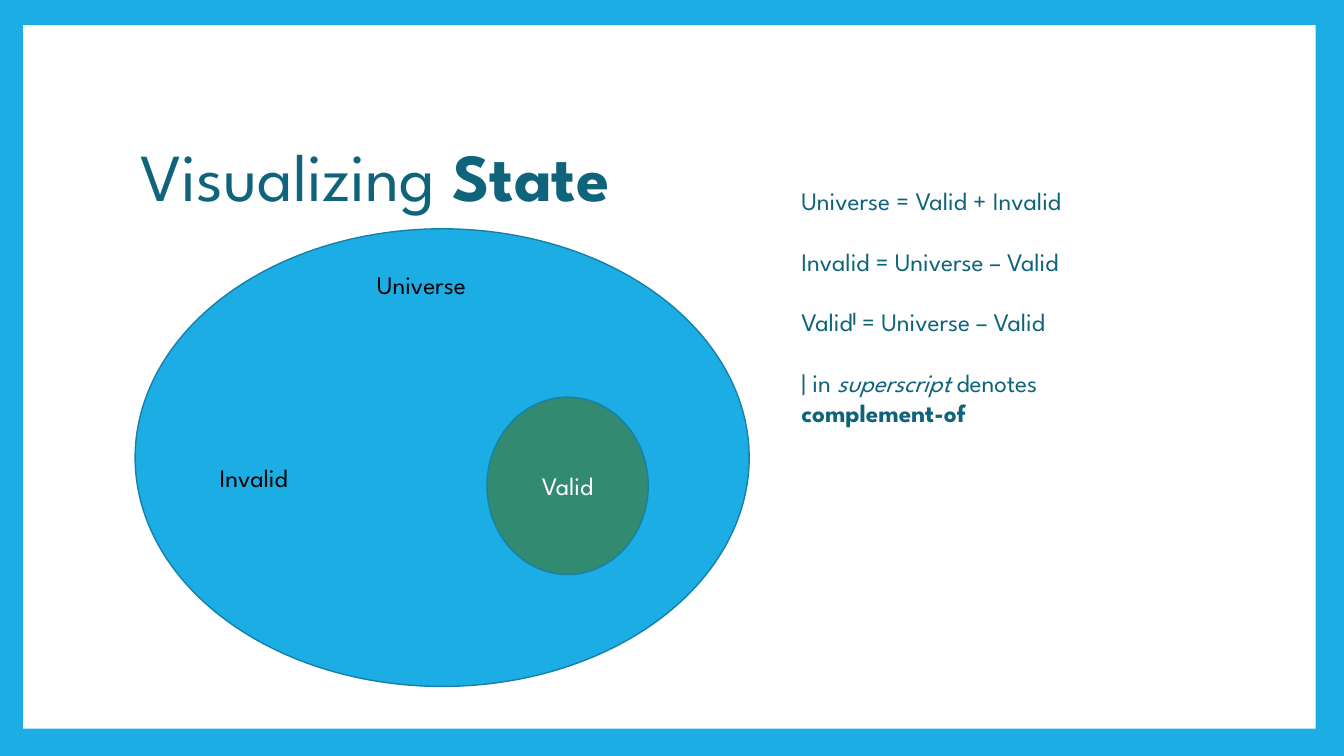
from pptx import Presentation
from pptx.dml.color import RGBColor
from pptx.enum import shapes, text
from pptx.util import Inches, Pt

FONT = "League Spartan"
BLUE = RGBColor(0x1C, 0xAD, 0xE4)
OUTLINE = RGBColor(0x15, 0x80, 0xA9)
TEAL = RGBColor(0x0F, 0x64, 0x7B)
GREEN = RGBColor(0x32, 0x8B, 0x71)
WHITE = RGBColor(0xFF, 0xFF, 0xFF)
BLACK = RGBColor(0, 0, 0)
RECT, OVAL = shapes.MSO_SHAPE.RECTANGLE, shapes.MSO_SHAPE.OVAL
TOP, MIDDLE = text.MSO_ANCHOR.TOP, text.MSO_ANCHOR.MIDDLE

TITLE = [[("Visualizing ", ""), ("State", "bold")]]
EQUATIONS = [
    [("Universe = Valid + Invalid", "")],
    [("Invalid = Universe – Valid", "")],
    [("Valid", ""), ("|", "bold super"), (" = Universe – Valid", "")],
    [("| in ", ""), ("superscript", "italic"), (" denotes ", ""),
     ("complement-of", "bold")],
]
SHAPES = [
    (RECT, (0, 0, 13.33, 7.5), BLUE, None),
    (RECT, (0.23, 0.25, 12.82, 6.98), WHITE, None),
    (OVAL, (1.34, 2.27, 6.09, 4.54), BLUE, None),
    (OVAL, (4.83, 3.94, 1.6, 1.76), GREEN, "Valid"),
]
TEXTS = [
    ((1.29, 0.95, 10.71, 1.67), TITLE, 48, TEAL, MIDDLE),
    ((3.64, 2.62, 1.22, 0.4), [[("Universe", "")]], 18, BLACK, TOP),
    ((2.08, 4.54, 1, 0.4), [[("Invalid", "")]], 18, BLACK, TOP),
    ((7.85, 1.79, 3.84, 2.83), EQUATIONS, 18, TEAL, TOP),
]


def write(sp, paragraphs, size, color, anchor, align=text.PP_ALIGN.LEFT):
    tf = sp.text_frame
    tf.word_wrap = True
    tf.vertical_anchor = anchor
    for i, runs in enumerate(paragraphs):
        p = tf.add_paragraph() if i else tf.paragraphs[0]
        p.alignment = align
        if i:
            p.space_before = Pt(21.6)
        if size > 18:
            p.line_spacing = 0.9
        for words, style in runs:
            r = p.add_run()
            r.text = words
            r.font.name, r.font.size = FONT, Pt(size)
            r.font.color.rgb = color
            r.font.bold = "bold" in style
            r.font.italic = "italic" in style
            if "super" in style:
                r.font._element.set("baseline", "30000")


prs = Presentation()
prs.slide_width, prs.slide_height = Inches(13.33), Inches(7.5)
s = prs.slides.add_slide(prs.slide_layouts[6])

for kind, box, fill, label in SHAPES:
    sp = s.shapes.add_shape(kind, *map(Inches, box))
    sp.shadow.inherit = False
    sp.fill.solid()
    sp.fill.fore_color.rgb = fill
    if kind == OVAL:
        sp.line.color.rgb, sp.line.width = OUTLINE, Pt(1)
    else:
        sp.line.fill.background()
    if label:
        write(sp, [[(label, "")]], 18, WHITE, MIDDLE, text.PP_ALIGN.CENTER)

for box, paragraphs, size, color, anchor in TEXTS:
    write(s.shapes.add_textbox(*map(Inches, box)), paragraphs, size, color, anchor)

prs.save("out.pptx")
